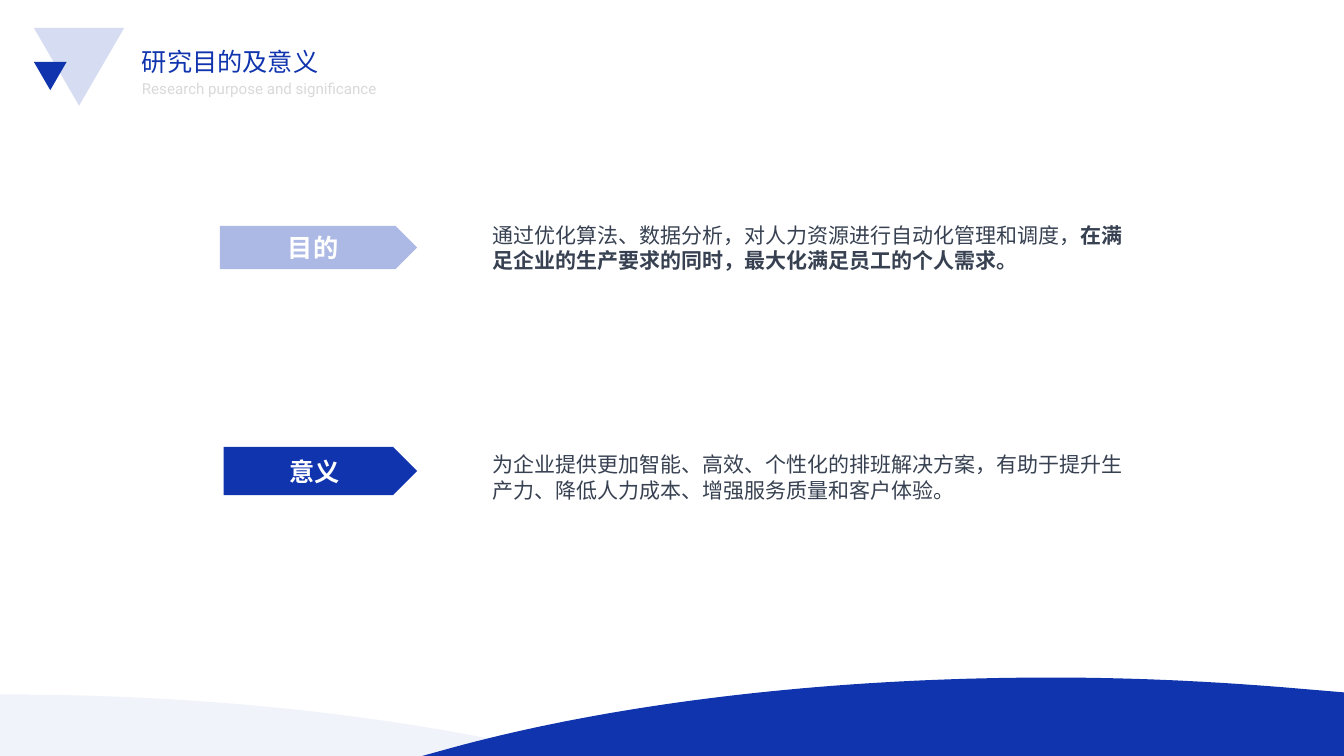
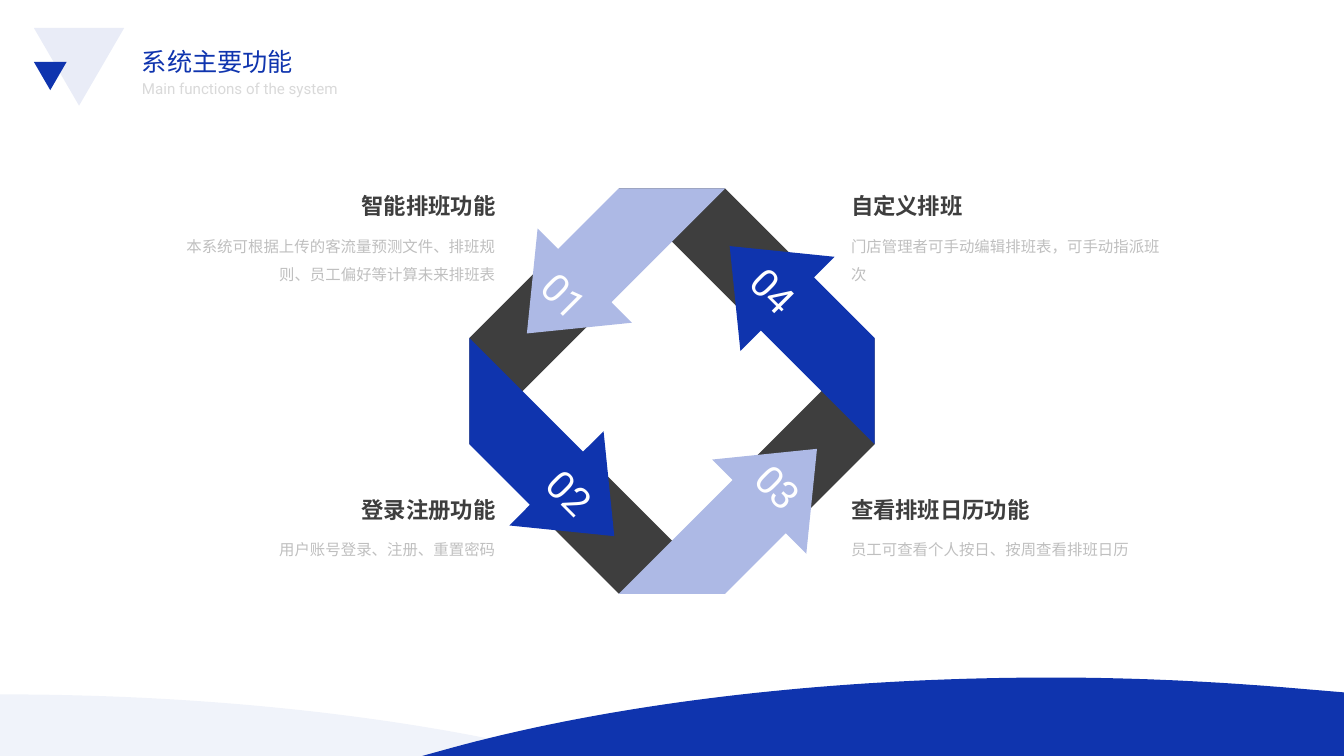
from dataclasses import dataclass
from math import cos, radians, sin

from pptx import Presentation
from pptx.dml.color import RGBColor
from pptx.enum.shapes import MSO_SHAPE
from pptx.enum.text import MSO_ANCHOR, PP_ALIGN
from pptx.oxml.ns import qn
from pptx.util import Pt


@dataclass(frozen=True)
class Theme:
    blue: str = "0F34AE"
    pale_blue: str = "ADB9E5"
    charcoal: str = "3E3E3E"
    slate: str = "374151"
    gray: str = "BFBFBF"
    light_gray: str = "D9D9D9"
    white: str = "FFFFFF"
    latin_font: str = "Roboto"
    chinese_font: str = "Noto Sans CJK JP"
    title_size: float = 18
    subtitle_size: float = 10.8
    body_size: float = 15
    heading_size: float = 16
    detail_size: float = 11
    number_size: float = 28
    leading: float = 1.2


theme = Theme()


def paint(shape, color, opacity=100):
    """Give a shape a flat fill with no line or shadow."""
    shape.shadow.inherit = False
    shape.line.fill.background()
    shape.fill.solid()
    shape.fill.fore_color.rgb = RGBColor.from_string(color)
    if opacity < 100:
        color_element = shape.fill._xPr.find(qn("a:solidFill"))[0]
        alpha = color_element.makeelement(qn("a:alpha"), {"val": str(opacity * 1000)})
        color_element.append(alpha)


def write(frame, text, *, size, color, font=theme.chinese_font, bold=False,
          align=PP_ALIGN.LEFT, anchor=MSO_ANCHOR.TOP, wrap=True, spacing=1):
    """Append a formatted run to the first paragraph of a text frame."""
    frame.word_wrap = wrap
    frame.vertical_anchor = anchor
    paragraph = frame.paragraphs[0]
    paragraph.alignment = align
    paragraph.line_spacing = Pt(round(size * theme.leading * spacing, 1))
    run = paragraph.add_run()
    run.text = text
    run.font.name = font
    run.font.size = Pt(size)
    run.font.bold = bold
    run.font.color.rgb = RGBColor.from_string(color)
    properties = run.font._element
    east_asian = properties.makeelement(qn("a:ea"), {"typeface": theme.chinese_font})
    properties.find(qn("a:latin")).addnext(east_asian)


presentation = Presentation()
presentation.slide_width = Pt(960)
presentation.slide_height = Pt(540)

# Footer waves: a start point, then corners (one point) or curves (three points)
waves = [
    ((751, 484), [
        [(811.9, 484), (871, 487), (929, 492)],
        [(960, 494.6)], [(960, 540)], [(301.7, 540)], [(322.6, 534.2)],
        [(435.6, 503.3), (586.1, 484), (751, 484)],
    ], theme.blue, 100),
    ((0, 496), [
        [(154, 496), (295, 512.6), (404.6, 540)],
        [(406, 540)], [(0, 540)],
    ], theme.blue, 6),
]
curve_steps = 40

# Shared parts: waves, corner triangles and titles
headers = [
    ("研究目的及意义", "Research purpose and significance", 17),
    ("系统主要功能", "Main functions of the system", 9),
]
slides = []
for title, subtitle, triangle_opacity in headers:
    slide = presentation.slides.add_slide(presentation.slide_layouts[6])
    slides.append(slide)

    for start, segments, color, opacity in waves:
        outline = [start]
        for segment in segments:
            if len(segment) == 1:
                outline += segment
                continue
            controls = [outline[-1], *segment]
            for step in range(1, curve_steps + 1):
                t = step / curve_steps
                weights = ((1 - t) ** 3, 3 * t * (1 - t) ** 2, 3 * t * t * (1 - t), t ** 3)
                outline.append(tuple(
                    sum(weight * point[axis] for weight, point in zip(weights, controls))
                    for axis in (0, 1)))
        corners = [(Pt(x), Pt(y)) for x, y in outline]
        builder = slide.shapes.build_freeform(*corners[0], scale=1)
        builder.add_line_segments(corners[1:], close=True)
        paint(builder.convert_to_shape(), color, opacity)

    for top, width, height, opacity in [(20, 64.5, 55.5, triangle_opacity),
                                        (44.2, 23.4, 20.2, 100)]:
        triangle = slide.shapes.add_shape(
            MSO_SHAPE.ISOSCELES_TRIANGLE, Pt(24.2), Pt(top), Pt(width), Pt(height))
        triangle.rotation = 180
        paint(triangle, theme.blue, opacity)

    for text, top, height, size, color in [
        (title, 29.5, 28.8, theme.title_size, theme.blue),
        (subtitle, 53.3, 20.2, theme.subtitle_size, theme.light_gray),
    ]:
        box = slide.shapes.add_textbox(Pt(94.3), Pt(top), Pt(190), Pt(height))
        write(box.text_frame, text, size=size, color=color, font=theme.latin_font, wrap=False)

purpose_slide, functions_slide = slides

# Purpose and significance: a pennant label beside each statement
statements = [
    ("目的", (157, 161.3, 141, 31), theme.pale_blue, 155.5,
     [("通过优化算法、数据分析，对人力资源进行自动化管理和调度，", False),
      ("在满足企业的生产要求的同时，最大化满足员工的个人需求。", True)]),
    ("意义", (159.7, 319.2, 138.3, 34.5), theme.blue, 319.2,
     [("为企业提供更加智能、高效、个性化的排班解决方案，"
       "有助于提升生产力、降低人力成本、增强服务质量和客户体验。", False)]),
]
for label, bounds, color, text_top, runs in statements:
    pennant = purpose_slide.shapes.add_shape(MSO_SHAPE.PENTAGON, *map(Pt, bounds))
    paint(pennant, color)
    write(pennant.text_frame, label, size=theme.title_size, color=theme.white, bold=True,
          align=PP_ALIGN.CENTER, anchor=MSO_ANCHOR.MIDDLE)
    box = purpose_slide.shapes.add_textbox(Pt(344.9), Pt(text_top), Pt(473), Pt(44))
    for text, bold in runs:
        write(box.text_frame, text, size=theme.body_size, color=theme.slate, bold=bold)

# Arrow ring: one side of an upright square, quarter-turned, then tilted by 45 degrees
center_x, center_y, tilt = 480, 279.4, 45
inner, outer, neck = -75.5, -129.2, -14.3
band = [(inner, 129.2), (inner, neck), (outer, neck), (outer, 75.5)]
arrow = [(inner, -129.2), (outer, -75.5), (outer, neck), (-150, neck),
         (-102.4, 44.1), (-54.8, neck), (inner, neck)]
pale, strong = theme.pale_blue, theme.blue
numbers = [
    ("01", pale, PP_ALIGN.CENTER, MSO_ANCHOR.BOTTOM, "margin_bottom", 21.6),
    ("02", strong, PP_ALIGN.RIGHT, MSO_ANCHOR.MIDDLE, "margin_right", 28.8),
    ("03", pale, PP_ALIGN.CENTER, MSO_ANCHOR.TOP, "margin_top", 21.6),
    ("04", strong, PP_ALIGN.LEFT, MSO_ANCHOR.MIDDLE, "margin_left", 28.8),
]
cosine, sine = cos(radians(tilt)), sin(radians(tilt))
for piece in (band, arrow):
    points = piece
    for number, color, align, anchor, margin, inset in numbers:
        corners = [(Pt(center_x + x), Pt(center_y + y)) for x, y in points]
        builder = functions_slide.shapes.build_freeform(*corners[0], scale=1)
        builder.add_line_segments(corners[1:], close=True)
        shape = builder.convert_to_shape()
        offset_x = shape.left + shape.width / 2 - Pt(center_x)
        offset_y = shape.top + shape.height / 2 - Pt(center_y)
        shape.left = round(Pt(center_x) + offset_x * cosine - offset_y * sine - shape.width / 2)
        shape.top = round(Pt(center_y) + offset_x * sine + offset_y * cosine - shape.height / 2)
        shape.rotation = tilt
        paint(shape, color if piece is arrow else theme.charcoal)
        if piece is arrow:
            setattr(shape.text_frame, margin, Pt(inset))
            write(shape.text_frame, number, size=theme.number_size, color=theme.white,
                  font=theme.latin_font, align=align, anchor=anchor)
        points = [(y, -x) for x, y in points]

# Captions around the ring
columns = [(116, PP_ALIGN.RIGHT), (600.8, PP_ALIGN.LEFT)]
rows = [
    (134, [("智能排班功能", "本系统可根据上传的客流量预测文件、排班规则、员工偏好等计算未来排班表"),
           ("自定义排班", "门店管理者可手动编辑排班表，可手动指派班次")]),
    (350.6, [("登录注册功能", "用户账号登录、注册、重置密码"),
             ("查看排班日历功能", "员工可查看个人按日、按周查看排班日历")]),
]
for top, captions in rows:
    for (left, align), (heading, detail) in zip(columns, captions):
        for text, box_top, height, size, color, bold, spacing in [
            (heading, top, 26.6, theme.heading_size, theme.charcoal, True, 1),
            (detail, top + 25.2, 45, theme.detail_size, theme.gray, False, 1.5),
        ]:
            box = functions_slide.shapes.add_textbox(Pt(left), Pt(box_top), Pt(245), Pt(height))
            write(box.text_frame, text, size=size, color=color, bold=bold,
                  align=align, spacing=spacing)

presentation.save("out.pptx")
